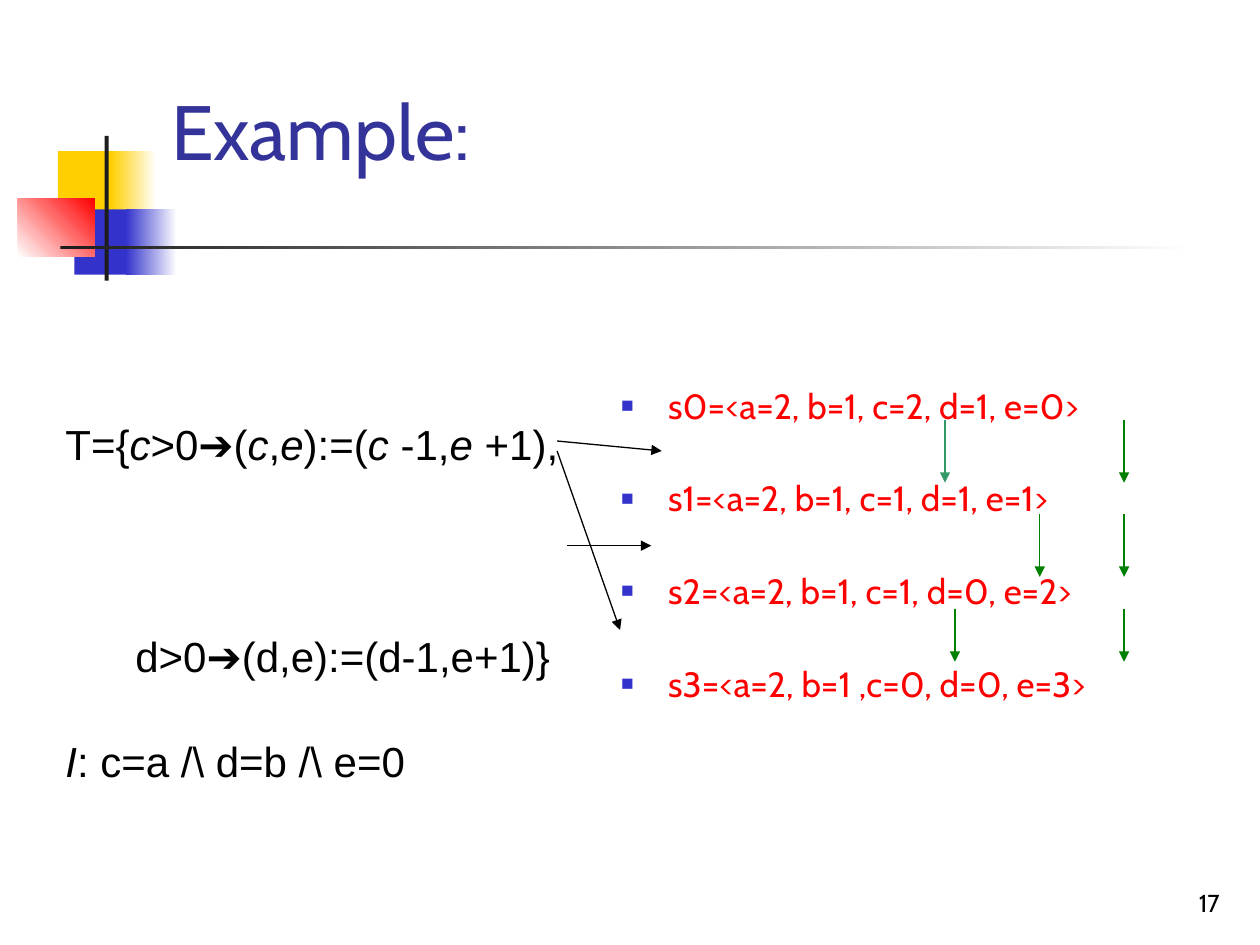
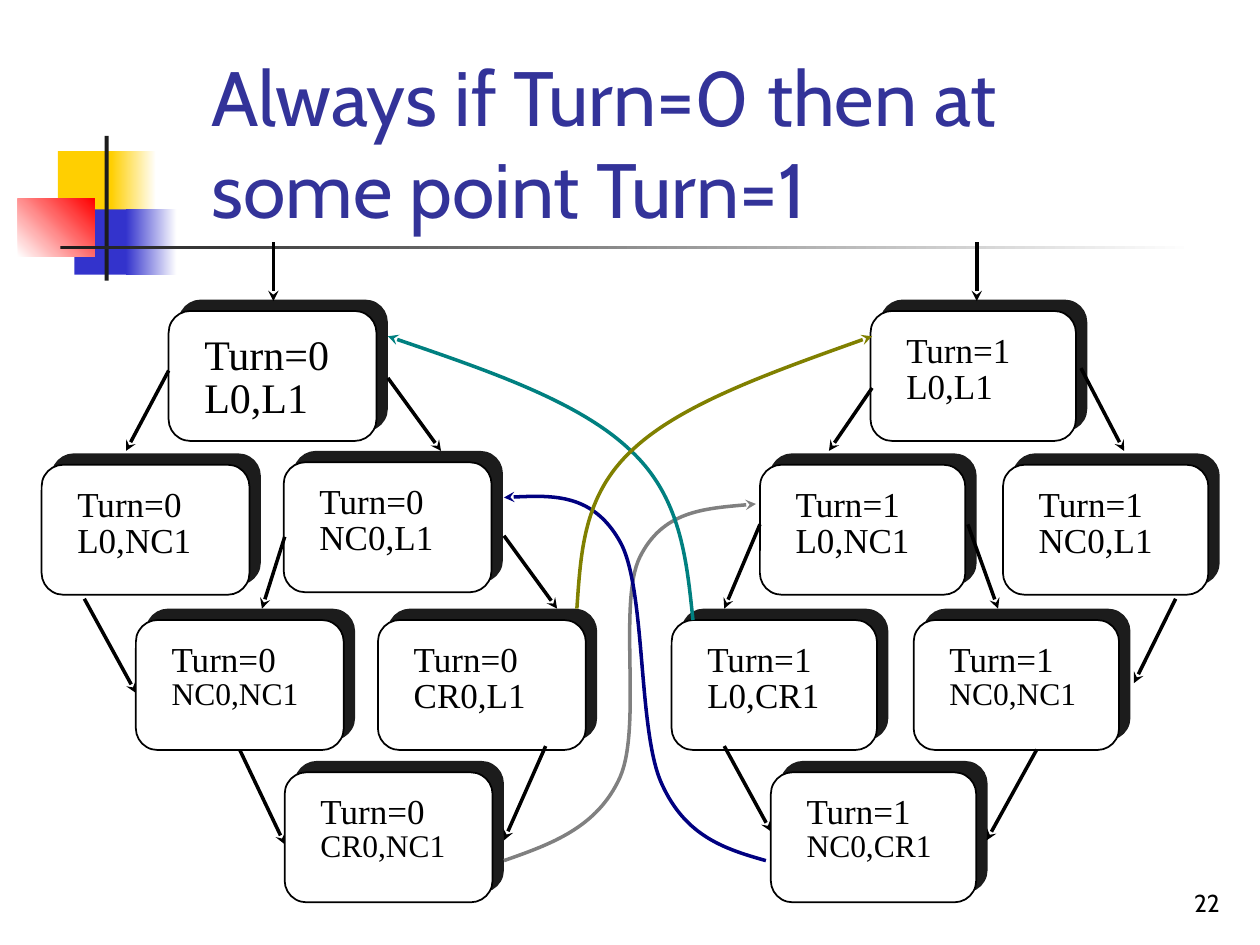
from lxml import etree
from pptx import Presentation
from pptx.dml.color import RGBColor
from pptx.enum.shapes import MSO_CONNECTOR, MSO_SHAPE
from pptx.enum.text import MSO_ANCHOR, PP_ALIGN
from pptx.oxml.ns import qn
from pptx.util import Cm, Pt

RECT, ROUND_RECT = MSO_SHAPE.RECTANGLE, MSO_SHAPE.ROUNDED_RECTANGLE
STRAIGHT = MSO_CONNECTOR.STRAIGHT
TOP, MIDDLE, BOTTOM = MSO_ANCHOR.TOP, MSO_ANCHOR.MIDDLE, MSO_ANCHOR.BOTTOM
LEFT, RIGHT = PP_ALIGN.LEFT, PP_ALIGN.RIGHT
BOTTOM_SITE = 2

WHITE = RGBColor(0xFF, 0xFF, 0xFF)
BLACK = RGBColor(0x00, 0x00, 0x00)
CHARCOAL = RGBColor(0x1C, 0x1C, 0x1C)
YELLOW = RGBColor(0xFF, 0xCF, 0x01)
BLUE = RGBColor(0x33, 0x33, 0xCC)
RED = RGBColor(0xFF, 0x00, 0x00)
INDIGO = RGBColor(0x33, 0x33, 0x99)
SEA_GREEN = RGBColor(0x33, 0x99, 0x66)
GREEN = RGBColor(0x00, 0x80, 0x00)
GREY = RGBColor(0x80, 0x80, 0x80)
NAVY = RGBColor(0x00, 0x00, 0x80)
TEAL = RGBColor(0x00, 0x80, 0x80)
OLIVE = RGBColor(0x80, 0x80, 0x00)

HEADING, SANS, SERIF = "Cabin", "Arial", "Times New Roman"

MOTIF = [
    (0.81, 0.31, 1.22, 1.32, YELLOW, None, 0),
    (1.88, 0.31, 0.91, 1.32, YELLOW, WHITE, 0),
    (1.14, 1.48, 1.17, 1.32, BLUE, None, 0),
    (2.18, 1.48, 1.02, 1.32, BLUE, WHITE, 0),
    (0, 1.27, 1.55, 1.17, WHITE, RED, 45),
    (1.75, 0, 0.08, 2.92, CHARCOAL, None, 0),
    (0.86, 2.21, 22.86, 0.08, CHARCOAL, WHITE, 0),
]

STATES = [
    "s0=<a=2, b=1, c=2, d=1, e=0>",
    "s1=<a=2, b=1, c=1, d=1, e=1>",
    "s2=<a=2, b=1, c=1, d=0, e=2>",
    "s3=<a=2, b=1 ,c=0, d=0, e=3>",
]
STATE_ARROWS = [
    (6.78, 0.84, 2.11, SEA_GREEN),
    (10.39, 0.84, 2.11, GREEN),
    (8.69, 2.74, 4.01, GREEN),
    (10.39, 2.74, 4.01, GREEN),
    (6.98, 4.65, 5.72, GREEN),
    (10.39, 4.65, 5.72, GREEN),
]

FIRST_RULE = [("T={", False), ("c", True), (">0➔(", False), ("c", True),
              (",", False), ("e", True), ("):=(", False), ("c ", True),
              ("-1,", False), ("e ", True), ("+1),", False)]
SECOND_RULE = [("d>0➔(d,e):=(d-1,e+1)}", False)]
INITIAL = [("I", True), (": c=a /\\ d=b /\\ e=0", False)]
RULE_ARROWS = [(10.16, 1.7, 12.27, 1.9), (10.16, 1.9, 11.43, 5.51),
               (10.36, 3.81, 12.06, 3.81)]

NODES = [
    (2.6, 1.47, 0, "L0,L1", 24, 24),
    (0.04, 4.57, 0, "L0,NC1", 20, 20),
    (4.92, 4.52, 0, "NC0,L1", 20, 20),
    (4.94, 10.77, 0, "CR0,NC1", 20, 18),
    (1.94, 7.7, 0, "NC0,NC1", 20, 18),
    (6.82, 7.7, 0, "CR0,L1", 20, 20),
    (12.74, 7.7, 1, "L0,CR1", 20, 20),
    (14.74, 10.77, 1, "NC0,CR1", 20, 18),
    (14.52, 4.57, 1, "L0,NC1", 20, 20),
    (17.62, 7.7, 1, "NC0,NC1", 20, 18),
    (19.42, 4.57, 1, "NC0,L1", 20, 20),
    (16.75, 1.47, 1, "L0,L1", 20, 20),
]
EDGES = [
    (7.02, 2.82, 8.09, 4.29), (2.6, 2.67, 1.74, 4.29),
    (9.36, 6, 10.43, 7.47), (10.2, 10.24, 9.36, 12.14),
    (4.94, 6.02, 4.48, 7.47), (14.52, 5.77, 13.8, 7.47),
    (22.9, 7.27, 22.06, 8.97), (13.8, 10.24, 14.74, 11.96),
    (20.1, 10.31, 19.09, 12.14), (18.71, 5.77, 19.32, 7.47),
    (4.71, 0.08, 4.71, 1.27), (18.89, 0.08, 18.89, 1.27),
    (20.99, 2.62, 21.86, 4.29), (0.9, 7.27, 1.94, 9.17),
    (16.78, 3.02, 15.91, 4.29),
]
CURVES = [
    (GREY, [(9.36, 12.55), (10.3, 12.22), (11.24, 11.89), (11.7, 10.87),
            (12.15, 9.83), (11.65, 7.34), (12.1, 6.43),
            (12.56, 5.51), (13.5, 5.44), (14.44, 5.36)]),
    (NAVY, [(14.64, 12.55), (13.83, 12.32), (13.02, 12.07), (12.54, 11),
            (12.05, 9.93), (12.23, 7.06), (11.7, 6.12),
            (11.16, 5.16), (10.25, 5.18), (9.36, 5.23)]),
    (TEAL, [(13.17, 7.7), (13.04, 6.45), (12.92, 5.21), (11.9, 4.27),
            (10.88, 3.3), (8.95, 2.64), (7.02, 1.98)]),
    (OLIVE, [(10.83, 7.47), (10.91, 6.33), (10.96, 5.18), (11.95, 4.27),
             (12.92, 3.35), (14.85, 2.67), (16.78, 1.98)]),
]


def add_run(p, text, size, font, color, italic=False):
    """Add one formatted run to a paragraph."""
    r = p.add_run()
    r.text = text
    r.font.size, r.font.name, r.font.italic = Pt(size), font, italic
    r.font.color.rgb = color


def add_frame(shapes, box, anchor=TOP):
    """Add a wrapping text box and return its text frame."""
    tf = shapes.add_textbox(*map(Cm, box)).text_frame
    tf.word_wrap = True
    tf.vertical_anchor = anchor
    return tf


def add_label(slide, text, box, size, color, anchor, align):
    """Add a single-paragraph label in the heading font."""
    p = add_frame(slide.shapes, box, anchor).paragraphs[0]
    p.alignment = align
    add_run(p, text, size, HEADING, color)


def style_line(line, color, width, head):
    """Colour a line and give it an arrowhead at its end."""
    line.color.rgb = color
    line.width = Pt(width)
    etree.SubElement(line._get_or_add_ln(), qn("a:tailEnd"), type=head)


def add_arrow(slide, box, ends, color=BLACK, width=0.75, head="triangle"):
    """Add a straight arrow whose ends are relative to the box."""
    x1, y1, x2, y2 = ends
    left, top = box[:2]
    line = slide.shapes.add_connector(STRAIGHT, Cm(left + x1), Cm(top + y1),
                                      Cm(left + x2), Cm(top + y2))
    style_line(line.line, color, width, head)
    etree.SubElement(line.element.spPr, qn("a:effectLst"))
    return line


def add_curve(slide, box, color, points):
    """Add a chain of cubic curves given as a start and control points."""
    pts = [(Cm(box[0] + x), Cm(box[1] + y)) for x, y in points]
    builder = slide.shapes.build_freeform(*pts[0])
    builder.add_line_segments(pts[1:], close=False)
    sp = builder.convert_to_shape()
    outline = sp.element.find(".//" + qn("a:path"))
    segments = outline.findall(qn("a:lnTo"))
    for i in range(0, len(segments), 3):
        bezier = etree.SubElement(outline, qn("a:cubicBezTo"))
        for segment in segments[i:i + 3]:
            bezier.append(segment[0])
            outline.remove(segment)
    sp.fill.background()
    sp.shadow.inherit = False
    style_line(sp.line, color, 2, "stealth")


def add_motif(slide, box):
    """Add the coloured squares, the upright bar and the fading rule."""
    for x, y, w, h, start, end, angle in MOTIF:
        sp = slide.shapes.add_shape(RECT, Cm(box[0] + x), Cm(box[1] + y),
                                    Cm(w), Cm(h))
        sp.shadow.inherit = False
        sp.line.fill.background()
        if end is None:
            sp.fill.solid()
            sp.fill.fore_color.rgb = start
        else:
            sp.fill.gradient()
            sp.fill.gradient_angle = angle
            for stop, color in zip(sp.fill.gradient_stops, (start, end)):
                stop.color.rgb = color


def add_base(prs, title, title_box, number):
    """Add a slide with the shared motif, title and slide number."""
    slide = prs.slides.add_slide(prs.slide_layouts[6])
    add_motif(slide, (0.36, 2.74))
    add_label(slide, number, (19.56, 17.35, 5.28, 1.27), 14, BLACK, BOTTOM, RIGHT)
    add_label(slide, title, title_box, 44, INDIGO, MIDDLE, LEFT)
    return slide


def add_bullet(p):
    """Give a paragraph a small blue square bullet."""
    pPr = p._p.get_or_add_pPr()
    pPr.set("marL", str(Cm(0.95)))
    pPr.set("indent", str(-Cm(0.95)))
    color = etree.SubElement(pPr, qn("a:buClr"))
    etree.SubElement(color, qn("a:srgbClr"), val=str(BLUE))
    etree.SubElement(pPr, qn("a:buSzPct"), val="60000")
    etree.SubElement(pPr, qn("a:buFont"), typeface=SANS)
    etree.SubElement(pPr, qn("a:buChar"), char="■")


def add_states(slide, box):
    """Add the list of states and the arrows for changed values."""
    tf = add_frame(slide.shapes, box)
    for i, state in enumerate(STATES):
        p = tf.add_paragraph() if i else tf.paragraphs[0]
        add_bullet(p)
        if i:
            p.space_before = Pt(29)
        add_run(p, state, 20, HEADING, RED)
    for x, y1, y2, color in STATE_ARROWS:
        add_arrow(slide, box, (x, y1, x, y2), color)


def add_rules(slide, box):
    """Add the transition rules and the arrows to the steps they cause."""
    tf = add_frame(slide.shapes, box)
    pitch = Pt(60.5)
    for i, runs in enumerate((FIRST_RULE, SECOND_RULE, INITIAL)):
        p = tf.add_paragraph() if i else tf.paragraphs[0]
        p.line_spacing = pitch
        if runs is SECOND_RULE:
            p.space_before = pitch
            p._p.get_or_add_pPr().set("marL", str(Cm(1.41)))
        for text, italic in runs:
            add_run(p, text, 24, SANS, BLACK, italic)
    for ends in RULE_ARROWS:
        add_arrow(slide, box, ends)


def add_node(slide, box, turn, state, sizes):
    """Add a rounded card with a hard shadow and two lines of text."""
    left, top, width, height = box
    shapes = slide.shapes.add_group_shape().shapes
    sp = shapes.add_shape(ROUND_RECT, *map(Cm, box))
    sp.adjustments[0] = 0.167
    sp.fill.solid()
    sp.fill.fore_color.rgb = WHITE
    sp.line.color.rgb = BLACK
    sp.line.width = Pt(1)
    sp.shadow.inherit = False
    effects = sp.element.spPr.find(qn("a:effectLst"))
    shadow = etree.SubElement(effects, qn("a:outerShdw"), blurRad="0",
                              dist=str(Pt(8.5)), dir=str(315 * 60000),
                              algn="ctr", rotWithShape="0")
    etree.SubElement(shadow, qn("a:srgbClr"), val=str(CHARCOAL))
    tf = add_frame(shapes, (left + 0.47, top + 0.23, width - 0.69, 1.7))
    add_run(tf.paragraphs[0], f"Turn={turn}", sizes[0], SERIF, BLACK)
    p = tf.add_paragraph()
    p.line_spacing = 0.2
    p.space_before = Pt(0.625 * sizes[1])
    add_run(p, state, sizes[1], SERIF, BLACK)
    return sp


def add_state_graph(slide, box):
    """Add the state cards, their straight edges and the curved returns."""
    cards = {}
    for x, y, turn, state, *sizes in NODES:
        card_box = (box[0] + x, box[1] + y, 4.14 if turn else 4.19, 2.62)
        cards[turn, state] = add_node(slide, card_box, turn, state, sizes)
    for ends in EDGES:
        add_arrow(slide, box, ends, width=2, head="stealth")
    joined = add_arrow(slide, box, (4.03, 10.31, 4.94, 12.22), width=2, head="stealth")
    joined.begin_connect(cards[0, "NC0,NC1"], BOTTOM_SITE)
    for color, points in CURVES:
        add_curve(slide, box, color, points)
    add_arrow(slide, box, (16.8, 1.98, 16.8, 1.98))


def main():
    """Build both slides and save the presentation."""
    prs = Presentation()
    prs.slide_width, prs.slide_height = Cm(25.4), Cm(19.05)
    slide = add_base(prs, "Example:", (3.2, 0.58, 21.64, 4.06), "17")
    add_states(slide, (12.27, 7.62, 11.96, 8.26))
    add_rules(slide, (1.07, 7.19, 10.8, 10.34))
    slide = add_base(prs, "Always if Turn=0 then at some point Turn=1",
                     (4.01, 1.27, 19.48, 3.18), "22")
    add_state_graph(slide, (0.8, 4.8, 23.6, 13.4))
    prs.save("out.pptx")


if __name__ == "__main__":
    main()
